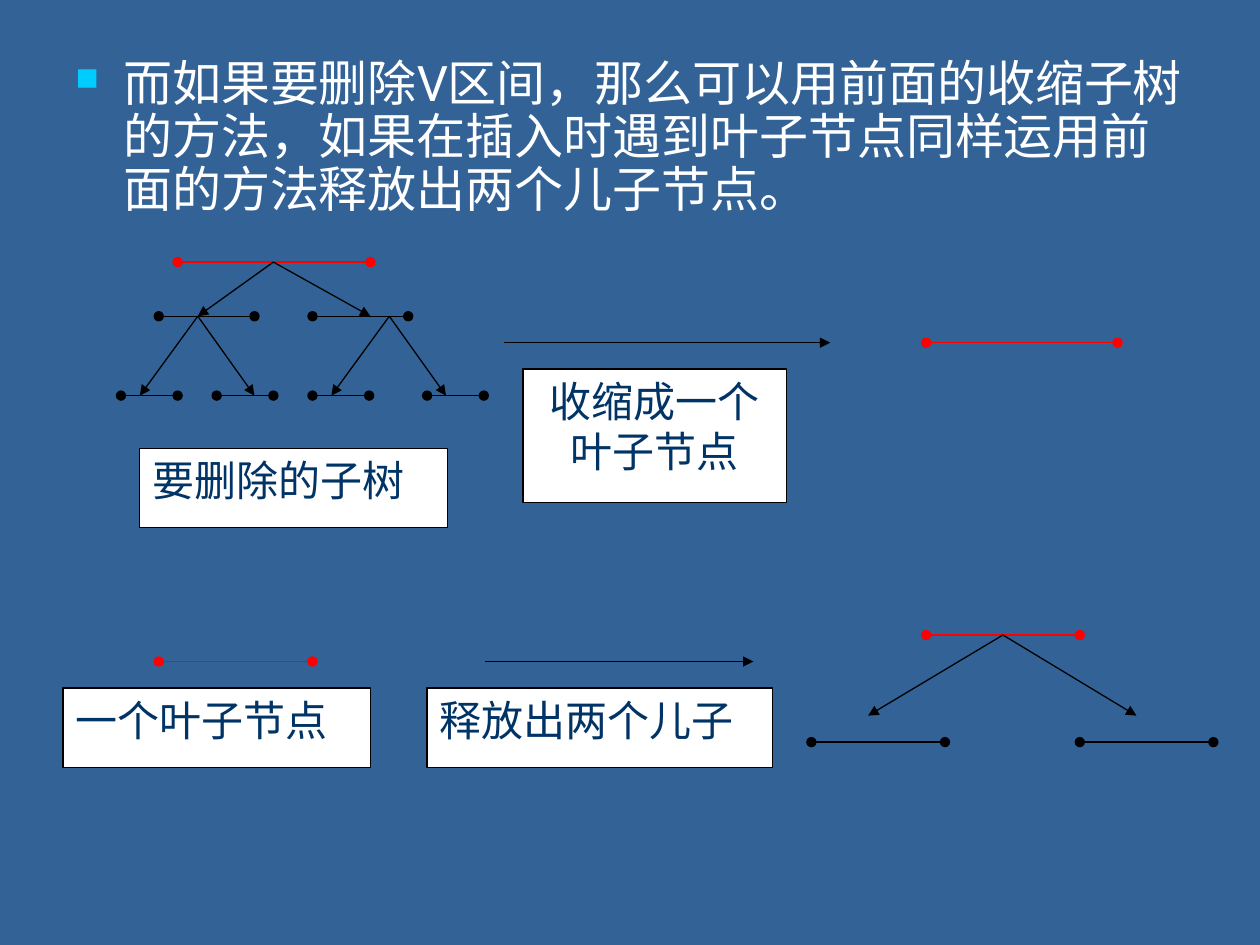
"""Build a slide showing how segment-tree nodes shrink and release."""
from typing import NamedTuple

from lxml.etree import SubElement
from pptx import Presentation
from pptx.dml.color import RGBColor
from pptx.enum.shapes import MSO_CONNECTOR as CONN, MSO_SHAPE as SHAPE
from pptx.enum.text import MSO_ANCHOR as ANCHOR, PP_ALIGN as ALIGN
from pptx.oxml.ns import qn
from pptx.util import Inches, Pt

BLUE = RGBColor(0x32, 0x62, 0x96)
NAVY = RGBColor(0x00, 0x33, 0x66)
WHITE = RGBColor(0xFF, 0xFF, 0xFF)
BLACK = RGBColor(0x00, 0x00, 0x00)
RED = RGBColor(0xFF, 0x00, 0x00)
CYAN = RGBColor(0x00, 0xCC, 0xFF)


class Interval(NamedTuple):
    x1: float
    x2: float
    y: float
    color: RGBColor = BLACK


class Arrow(NamedTuple):
    x1: float
    y1: float
    x2: float
    y2: float


class Label(NamedTuple):
    text: str
    x: float
    y: float
    w: float
    h: float = 0.63
    align: ALIGN = ALIGN.JUSTIFY


ROOT_Y, CHILD_Y, LEAF_Y, SHRINK_Y = 2.08, 2.51, 3.14, 2.72
RELEASE_Y, PARENT_Y, TIP_Y, SON_Y = 5.25, 5.04, 5.68, 5.89

INTERVALS = [
    Interval(1.41, 2.94, ROOT_Y, RED),
    *(Interval(x, x + 0.76, CHILD_Y) for x in (1.26, 2.48)),
    *(Interval(x, x + 0.45, LEAF_Y) for x in (0.96, 1.72, 2.48, 3.39)),
    Interval(7.35, 8.87, SHRINK_Y, RED),
    Interval(1.26, 2.48, RELEASE_Y, RED),
    Interval(7.35, 8.57, PARENT_Y, RED),
    *(Interval(x, x + 1.06, SON_Y) for x in (6.44, 8.57)),
]

ARROWS = [
    *(Arrow(2.17, ROOT_Y, x, CHILD_Y) for x in (1.57, 2.94)),
    *(Arrow(x, CHILD_Y, x + dx, LEAF_Y)
      for x in (1.57, 3.09) for dx in (-0.46, 0.45)),
    Arrow(4, SHRINK_Y, 6.59, SHRINK_Y),
    Arrow(3.85, RELEASE_Y, 5.98, RELEASE_Y),
    *(Arrow(7.96, PARENT_Y, x, TIP_Y) for x in (6.89, 9.02)),
]

LABELS = [
    Label("要删除的子树", 1.11, 3.56, 2.44),
    Label("收缩成一个叶子节点", 4.15, 2.93, 2.09, 1.06, ALIGN.CENTER),
    Label("一个叶子节点", 0.5, 5.46, 2.44),
    Label("释放出两个儿子", 3.39, 5.46, 2.74),
]

BODY = ("而如果要删除V区间，那么可以用前面的收缩子树 的方法，"
        "如果在插入时遇到叶子节点同样运用前面的方法释放出两个儿子节点。")


def add_line(s, x1: float, y1: float, x2: float, y2: float,
             color: RGBColor = BLACK, **ends: str):
    sp = s.shapes.add_connector(CONN.STRAIGHT, Inches(x1), Inches(y1),
                                Inches(x2), Inches(y2))
    sp.line.color.rgb = color
    sp.line.width = Pt(0.75)
    ln = sp.line._get_or_add_ln()
    for tag, kind in ends.items():
        SubElement(ln, qn(f"a:{tag}"), type=kind)
    SubElement(sp._element.spPr, qn("a:effectLst"))
    return sp


def add_interval(s, item: Interval):
    return add_line(s, item.x1, item.y, item.x2, item.y, item.color,
                    headEnd="oval", tailEnd="oval")


def add_arrow(s, item: Arrow):
    return add_line(s, *item, tailEnd="triangle")


def add_bullet(p, char: str, color: RGBColor, percent: int, indent: float):
    pPr = p._p.get_or_add_pPr()
    pPr.set("marL", str(Inches(indent)))
    pPr.set("indent", str(-Inches(indent)))
    clr = SubElement(pPr, qn("a:buClr"))
    SubElement(clr, qn("a:srgbClr"), val=str(color))
    SubElement(pPr, qn("a:buSzPct"), val=str(percent * 1000))
    SubElement(pPr, qn("a:buChar"), char=char)


def write(sp, text: str, *, size: float, font: str, color: RGBColor,
          align: ALIGN = ALIGN.LEFT):
    tf = sp.text_frame
    tf.word_wrap = True
    tf.vertical_anchor = ANCHOR.TOP
    p = tf.paragraphs[0]
    p.alignment = align
    r = p.add_run()
    r.text = text
    r.font.size = Pt(size)
    r.font.name = font
    r.font.color.rgb = color
    return p


def add_label(s, item: Label):
    sp = s.shapes.add_shape(SHAPE.RECTANGLE, Inches(item.x), Inches(item.y),
                            Inches(item.w), Inches(item.h))
    sp.shadow.inherit = False
    sp.fill.solid()
    sp.fill.fore_color.rgb = WHITE
    sp.line.color.rgb = BLACK
    sp.line.width = Pt(0.75)
    write(sp, item.text, size=24, font="Times New Roman", color=NAVY,
          align=item.align)
    return sp


def main():
    prs = Presentation()
    prs.slide_width, prs.slide_height = Inches(10), Inches(7.5)
    s = prs.slides.add_slide(prs.slide_layouts[6])
    s.background.fill.solid()
    s.background.fill.fore_color.rgb = BLUE

    for interval in INTERVALS:
        add_interval(s, interval)
    for arrow in ARROWS:
        add_arrow(s, arrow)
    for label in LABELS:
        add_label(s, label)

    sp = s.shapes.add_textbox(Inches(0.5), Inches(0.42), Inches(9), Inches(1.82))
    p = write(sp, BODY, size=28, font="Roboto", color=WHITE)
    p.line_spacing = 0.9
    add_bullet(p, "■", CYAN, 65, 0.38)

    prs.save("out.pptx")


if __name__ == "__main__":
    main()
